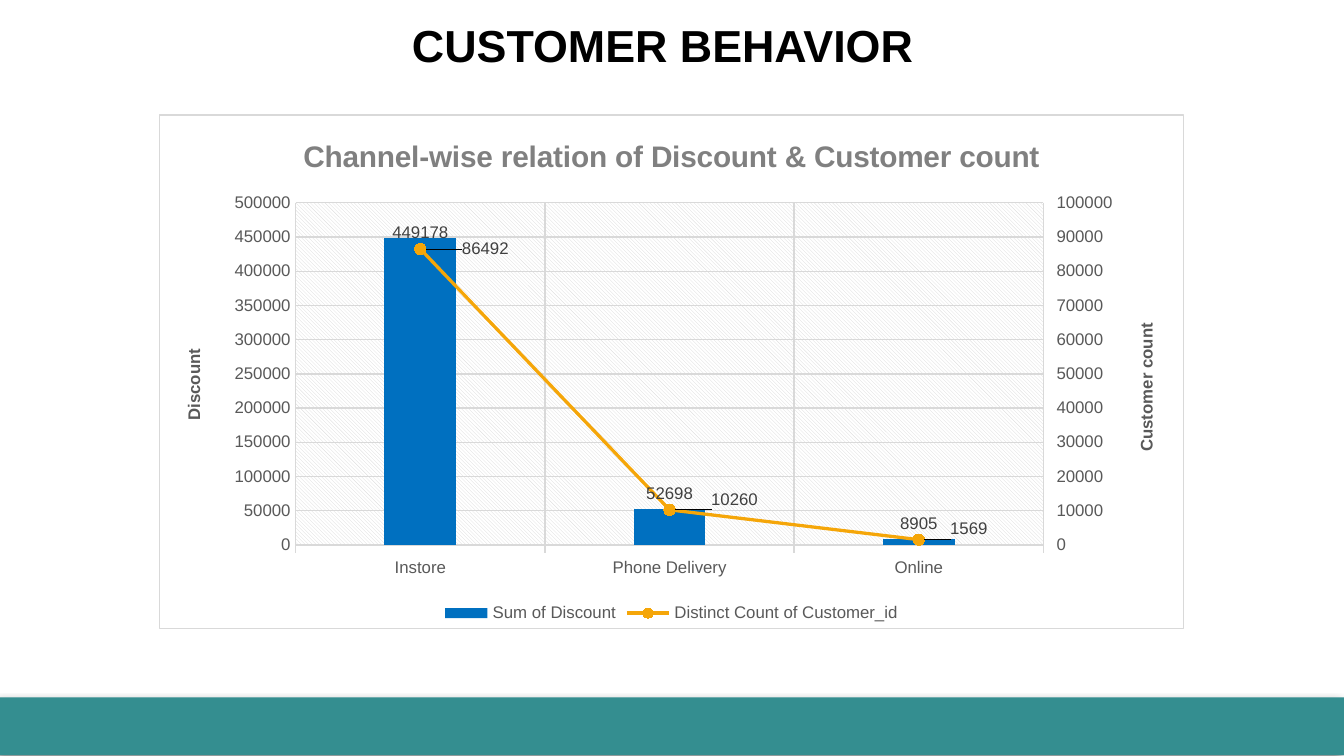
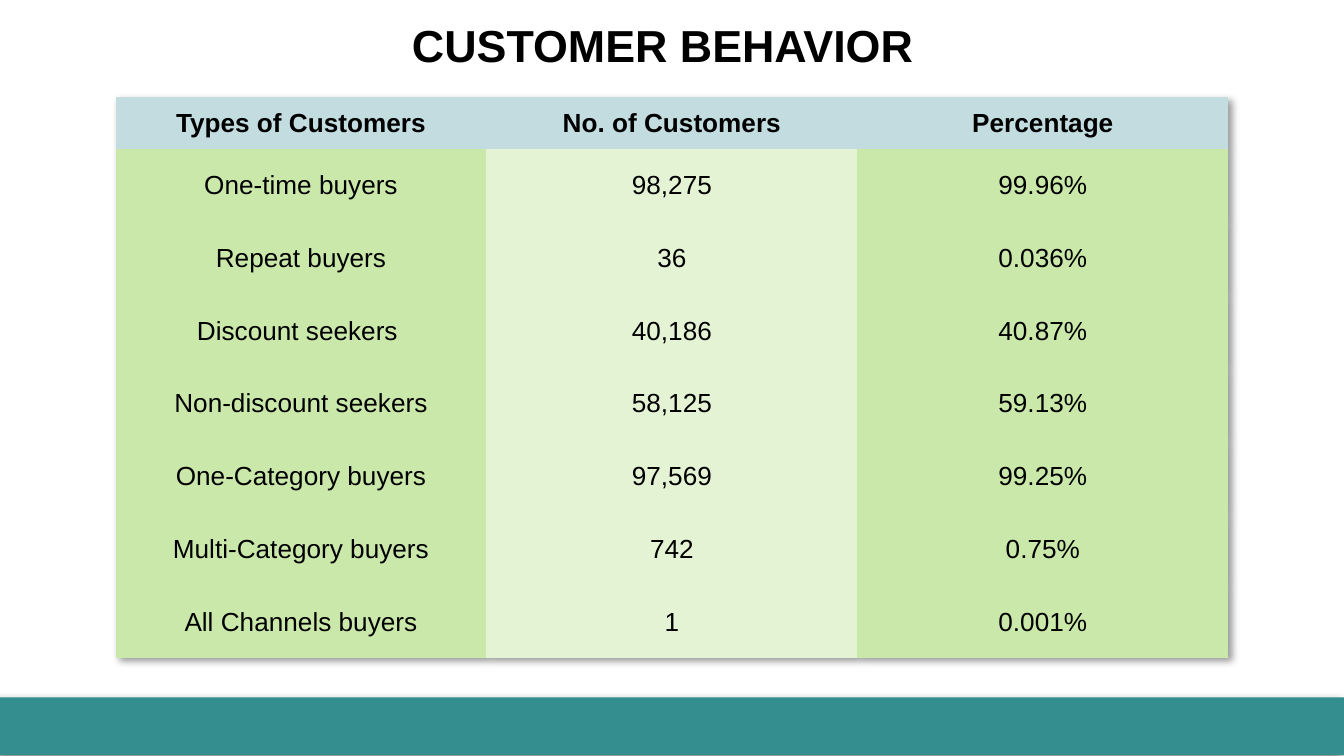
"""Build two customer behavior slides: a channel chart and a customer type table."""
from copy import deepcopy
from dataclasses import dataclass

from lxml import etree
from pptx import Presentation
from pptx import util as u
from pptx.chart.data import CategoryChartData
from pptx.dml.color import RGBColor
from pptx.enum import chart as ch, shapes, text
from pptx.oxml import ns, parse_xml


@dataclass(frozen=True)
class Theme:
    font: str = "Arial"
    ink: str = "000000"
    band: str = "348E90"
    paper: str = "FFFFFF"
    rule: str = "D9D9D9"
    axis: str = "595959"
    label: str = "404040"
    heading: str = "808080"
    discount: str = "0070C0"
    customers: str = "F5A609"
    header: str = "C2DCE0"
    columns: tuple = ("CAE8AA", "E5F3D5", "CAE8AA")
    title_size: int = 24
    heading_size: int = 16
    table_size: int = 14
    chart_size: int = 9


THEME = Theme()
TITLE = "CUSTOMER BEHAVIOR"
CHART_TITLE = "Channel-wise relation of Discount & Customer count"
CHANNELS = ["Instore", "Phone Delivery", "Online"]
DISCOUNT = ("Sum of Discount", [449178, 52698, 8905])
CUSTOMERS = ("Distinct Count of Customer_id", [86492, 10260, 1569])
DISCOUNT_SHIFTS = [(0, 0.02)]
CUSTOMER_SHIFTS = [(0.03, 0), (0.03, -0.02), (0.02, -0.02)]
CUSTOMER_TYPES = [
    ("Types of Customers", "No. of Customers", "Percentage"),
    ("One-time buyers", "98,275", "99.96%"),
    ("Repeat buyers", "36", "0.036%"),
    ("Discount seekers ", "40,186", "40.87%"),
    ("Non-discount seekers", "58,125", "59.13%"),
    ("One-Category buyers", "97,569", "99.25%"),
    ("Multi-Category buyers", "742", "0.75%"),
    ("All Channels buyers", "1", "0.001%"),
]
TABLE_HEIGHT, HEADER_HEIGHT = 4.18, 0.39


def inches(*lengths):
    return [u.Inches(length) for length in lengths]


def paint(fill, color):
    fill.solid()
    fill.fore_color.rgb = RGBColor.from_string(color)


def style(font, size, color, bold=False):
    font.name, font.size, font.bold = THEME.font, u.Pt(size), bold
    font.color.rgb = RGBColor.from_string(color)


def rule(line, color=THEME.rule, width=0.75):
    line.color.rgb = RGBColor.from_string(color)
    line.width = u.Pt(width)


def xml(markup):
    head, tail = markup.split(">", 1)
    return parse_xml(f"{head} {ns.nsdecls('a', 'c')}>{tail}")


def shadow(angle):
    return xml(f'<a:effectLst><a:outerShdw blurRad="{u.Pt(4)}" dist="{u.Pt(3)}" '
               f'dir="{angle * 60000}" algn="tl" rotWithShape="0"><a:srgbClr val="{THEME.ink}">'
               '<a:alpha val="40000"/></a:srgbClr></a:outerShdw></a:effectLst>')


def layout(x, y, before="", after=""):
    return xml(f'<c:layout><c:manualLayout>{before}<c:x val="{x}"/><c:y val="{y}"/>'
               f'{after}</c:manualLayout></c:layout>')


EDGES = '<c:xMode val="edge"/><c:yMode val="edge"/>'


def place_title(title, x, y):
    for old in title.findall(ns.qn("c:layout")):
        title.remove(old)
    title.find(ns.qn("c:tx")).addnext(layout(x, y, EDGES))


def new_slide(prs):
    slide = prs.slides.add_slide(prs.slide_layouts[6])
    band = slide.shapes.add_shape(shapes.MSO_SHAPE.RECTANGLE, *inches(0, 5.19, 10, 0.43))
    paint(band.fill, THEME.band)
    band.line.fill.background()
    band._element.spPr.append(shadow(135))
    title = slide.shapes.add_textbox(*inches(0.55, 0.04, 8.76, 0.59)).text_frame
    title.word_wrap = True
    title.vertical_anchor = text.MSO_ANCHOR.BOTTOM
    title.margin_left = title.margin_right = title.margin_top = title.margin_bottom = u.Inches(0.1)
    title.text = TITLE
    title.paragraphs[0].alignment = text.PP_ALIGN.CENTER
    style(title.paragraphs[0].runs[0].font, THEME.title_size, THEME.ink, True)
    return slide


def style_axes(chart):
    channels, discount = chart.category_axis, chart.value_axis
    for axis in (channels, discount):
        style(axis.tick_labels.font, THEME.chart_size, THEME.axis)
        axis.has_major_gridlines = True
        rule(axis.major_gridlines.format.line)
        axis.minor_tick_mark = ch.XL_TICK_MARK.NONE
    channels.major_tick_mark = ch.XL_TICK_MARK.OUTSIDE
    rule(channels.format.line)
    discount.major_tick_mark = ch.XL_TICK_MARK.NONE
    discount.format.line.fill.background()
    discount.minimum_scale, discount.maximum_scale, discount.major_unit = 0, 500000, 50000
    caption = discount.axis_title.text_frame
    caption.text = "Discount"
    style(caption.paragraphs[0].runs[0].font, THEME.chart_size, THEME.axis, True)
    caption._txBody.bodyPr.set("rot", "-5400000")
    caption._txBody.bodyPr.set("vert", "horz")


def add_customer_axis(chart):
    plot_area = chart._chartSpace.chart.plotArea
    bars = plot_area.find(ns.qn("c:barChart"))
    customers = bars.findall(ns.qn("c:ser"))[1]
    for flag in customers.findall(ns.qn("c:invertIfNegative")):
        customers.remove(flag)
    lines = xml('<c:lineChart><c:grouping val="standard"/><c:varyColors val="0"/>'
                '<c:marker val="1"/><c:axId val="5001"/><c:axId val="5002"/></c:lineChart>')
    lines.insert(2, customers)
    bars.addnext(lines)

    discount_axis = plot_area.find(ns.qn("c:valAx"))
    count_axis = deepcopy(discount_axis)
    channel_axis = deepcopy(plot_area.find(ns.qn("c:catAx")))
    discount_axis.addnext(count_axis)
    count_axis.addnext(channel_axis)
    settings = [
        (count_axis, {"axId": 5002, "crossAx": 5001, "axPos": "r", "crosses": "max",
                      "majorTickMark": "out", "majorUnit": 10000}),
        (channel_axis, {"axId": 5001, "crossAx": 5002, "delete": 1}),
    ]
    for axis, values in settings:
        axis.remove(axis.find(ns.qn("c:majorGridlines")))
        for tag, value in values.items():
            axis.find(ns.qn(f"c:{tag}")).set("val", str(value))
    count_axis.find(ns.qn("c:scaling")).find(ns.qn("c:max")).set("val", "100000")
    next(count_axis.iter(ns.qn("a:t"))).text = "Customer count"
    place_title(discount_axis.find(ns.qn("c:title")), 0.02, 0.45)
    place_title(count_axis.find(ns.qn("c:title")), 0.95, 0.4)


def label_series(series, position, shifts):
    labels = series.data_labels
    labels.show_value = True
    labels.position = position
    style(labels.font, THEME.chart_size, THEME.label)
    for i, shift in enumerate(shifts):
        label = series.points[i].data_label
        label.position = position
        style(label.font, THEME.chart_size, THEME.label)
        label._dLbl.insert(1, layout(*shift))
    for leader in labels._element.findall(ns.qn("c:showLeaderLines")):
        labels._element.remove(leader)
    labels._element.append(xml(
        '<c:extLst><c:ext uri="{CE6537A1-D6FC-4f65-9D91-7224C49458BB}" '
        'xmlns:c15="http://schemas.microsoft.com/office/drawing/2012/chart">'
        '<c15:showLeaderLines val="0"/></c:ext></c:extLst>'))


def style_series(chart):
    bars, lines = chart.plots
    bars.gap_width = 247
    bars.vary_by_categories = False
    discount, customers = bars.series[0], lines.series[0]
    paint(discount.format.fill, THEME.discount)
    rule(customers.format.line, THEME.customers, 1.75)
    customers.smooth = False
    customers.marker.style, customers.marker.size = ch.XL_MARKER_STYLE.CIRCLE, 6
    paint(customers.marker.format.fill, THEME.customers)
    rule(customers.marker.format.line, THEME.customers)
    label_series(discount, ch.XL_LABEL_POSITION.OUTSIDE_END, DISCOUNT_SHIFTS)
    label_series(customers, ch.XL_LABEL_POSITION.RIGHT, CUSTOMER_SHIFTS)


def fill_backgrounds(chart):
    plot_area = chart._chartSpace.chart.plotArea
    for old in plot_area.findall(ns.qn("c:layout")):
        plot_area.remove(old)
    plot_area.insert(0, layout(2 / 15, 6 / 35, '<c:layoutTarget val="inner"/>' + EDGES,
                               f'<c:w val="0.73"/><c:h val="{2 / 3}"/>'))
    plot_area.append(xml(
        f'<c:spPr><a:pattFill prst="ltDnDiag"><a:fgClr><a:srgbClr val="{THEME.rule}"/></a:fgClr>'
        f'<a:bgClr><a:srgbClr val="{THEME.paper}"/></a:bgClr></a:pattFill></c:spPr>'))
    chart._chartSpace.chart.addnext(xml(
        f'<c:spPr><a:solidFill><a:srgbClr val="{THEME.paper}"/></a:solidFill>'
        f'<a:ln w="{u.Pt(0.75)}"><a:solidFill><a:srgbClr val="{THEME.rule}"/></a:solidFill>'
        '</a:ln></c:spPr>'))


def add_channel_chart(slide):
    data = CategoryChartData()
    data.categories = CHANNELS
    for name, values in (DISCOUNT, CUSTOMERS):
        data.add_series(name, values)
    chart = slide.shapes.add_chart(ch.XL_CHART_TYPE.COLUMN_CLUSTERED,
                                   *inches(1.18, 0.85, 7.63, 3.83), data).chart
    style(chart.font, 10, THEME.ink)
    heading = chart.chart_title.text_frame
    heading.text = CHART_TITLE
    style(heading.paragraphs[0].runs[0].font, THEME.heading_size, THEME.heading, True)
    chart.chart_title.include_in_layout = False
    chart.has_legend = True
    chart.legend.position = ch.XL_LEGEND_POSITION.BOTTOM
    chart.legend.include_in_layout = False
    style(chart.legend.font, THEME.chart_size, THEME.axis)
    style_axes(chart)
    add_customer_axis(chart)
    style_series(chart)
    fill_backgrounds(chart)


def add_customer_table(slide):
    table = slide.shapes.add_table(len(CUSTOMER_TYPES), len(CUSTOMER_TYPES[0]),
                                   *inches(0.86, 0.72, 8.28, TABLE_HEIGHT)).table
    table.first_row = table.horz_banding = False
    table._tbl.tblPr.insert(0, shadow(45))
    body_height = (TABLE_HEIGHT - HEADER_HEIGHT) / (len(CUSTOMER_TYPES) - 1)
    for column in table.columns:
        column.width = u.Inches(2.76)
    for r, entries in enumerate(CUSTOMER_TYPES):
        is_header = r == 0
        table.rows[r].height = u.Inches(HEADER_HEIGHT if is_header else body_height)
        for c, entry in enumerate(entries):
            cell = table.cell(r, c)
            cell.text_frame.text = entry
            cell.vertical_anchor = text.MSO_ANCHOR.MIDDLE
            paragraph = cell.text_frame.paragraphs[0]
            paragraph.alignment = text.PP_ALIGN.CENTER
            style(paragraph.runs[0].font, THEME.table_size, THEME.ink, is_header)
            paint(cell.fill, THEME.header if is_header else THEME.columns[c])
            properties = cell._tc.get_or_add_tcPr()
            for i, side in enumerate(("lnL", "lnR", "lnT", "lnB")):
                border = etree.Element(ns.qn(f"a:{side}"), w=str(u.Pt(0.75)))
                etree.SubElement(border, ns.qn("a:noFill"))
                properties.insert(i, border)


def main():
    prs = Presentation()
    prs.slide_width = u.Inches(10)
    prs.slide_height = prs.slide_width * 9 // 16
    add_channel_chart(new_slide(prs))
    add_customer_table(new_slide(prs))
    prs.save("out.pptx")


if __name__ == "__main__":
    main()
